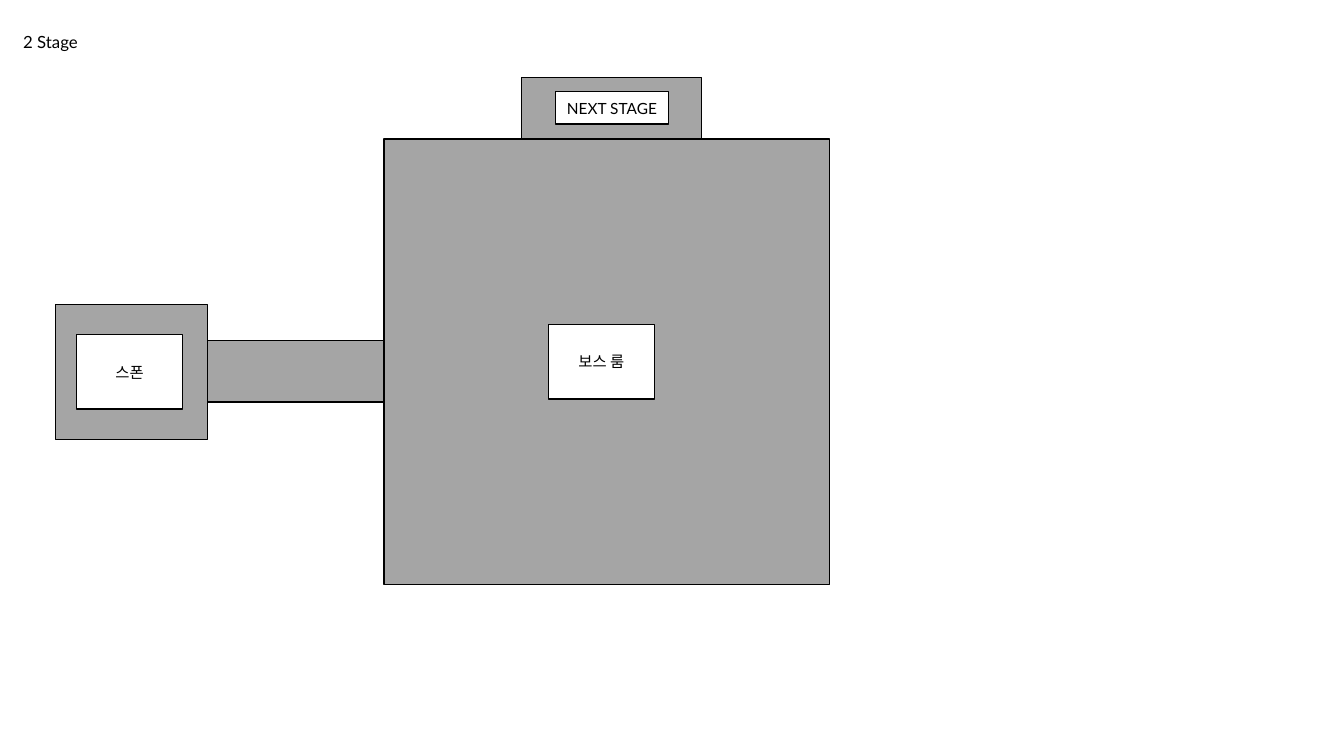
from pptx import Presentation
from pptx.dml.color import RGBColor
from pptx.enum.shapes import MSO_SHAPE
from pptx.enum.text import MSO_ANCHOR, MSO_AUTO_SIZE, PP_ALIGN
from pptx.util import Inches, Pt

RECT = MSO_SHAPE.RECTANGLE
MIDDLE = MSO_ANCHOR.MIDDLE
FIT_SHAPE = MSO_AUTO_SIZE.SHAPE_TO_FIT_TEXT
LEFT, CENTER = PP_ALIGN.LEFT, PP_ALIGN.CENTER
TITLE_ONLY = 5

FLOOR, WHITE, BLACK = "A5A5A5", "FFFFFF", "000000"
CELL = 0.1  # inches per grid column and row

# Left, top, width and height in grid cells
AREAS = [
    (5.5, 30.2, 15.1, 13.4),   # spawn room
    (20.6, 33.8, 17.9, 6.1),   # corridor
    (38.1, 13.8, 44.2, 44.2),  # boss room
    (51.7, 7.7, 17.9, 6.1),    # exit
]
LABELS = [
    ("스폰", (7.6, 33.2, 10.5, 7.4)),
    ("보스 룸", (54.4, 32.2, 10.5, 7.4)),
    ("NEXT STAGE", (55.1, 9.1, 11.2, 3.2)),
]


def rgb(color):
    return RGBColor.from_string(color)


def grid(box):
    return [Inches(n * CELL) for n in box]


class StageMap:
    def __init__(self, slide):
        self.slide = slide
        self.font = {"name": "Lato", "bold": False}

    def add_text(self, tf, text, size, align):
        p = tf.paragraphs[0]
        p.alignment = align
        r = p.add_run()
        r.text = text
        for name, value in {**self.font, "size": Pt(size)}.items():
            setattr(r.font, name, value)
        r.font.color.rgb = rgb(BLACK)

    def title(self, text, box):
        s = self.slide.shapes.title
        s.left, s.top, s.width, s.height = grid(box)
        tf = s.text_frame
        for name, value in {"word_wrap": False, "auto_size": FIT_SHAPE,
                            "vertical_anchor": MIDDLE}.items():
            setattr(tf, name, value)
        self.add_text(tf, text, 12, LEFT)

    def area(self, box, fill=FLOOR):
        s = self.slide.shapes.add_shape(RECT, *grid(box))
        s.shadow.inherit = False
        s.fill.solid()
        s.fill.fore_color.rgb = rgb(fill)
        s.line.color.rgb = rgb(BLACK)
        s.line.width = Pt(1)
        return s

    def label(self, text, box):
        tf = self.area(box, WHITE).text_frame
        tf.vertical_anchor = MIDDLE
        tf.margin_left = tf.margin_right = 0
        self.add_text(tf, text, 11, CENTER)


def main():
    prs = Presentation()
    prs.slide_width, prs.slide_height = Inches(13.33), Inches(7.5)
    stage = StageMap(prs.slides.add_slide(prs.slide_layouts[TITLE_ONLY]))
    stage.title("2 Stage", (1.3, 2.6, 7.7, 3))
    for box in AREAS:
        stage.area(box)
    for text, box in LABELS:
        stage.label(text, box)
    prs.save("out.pptx")


if __name__ == "__main__":
    main()
